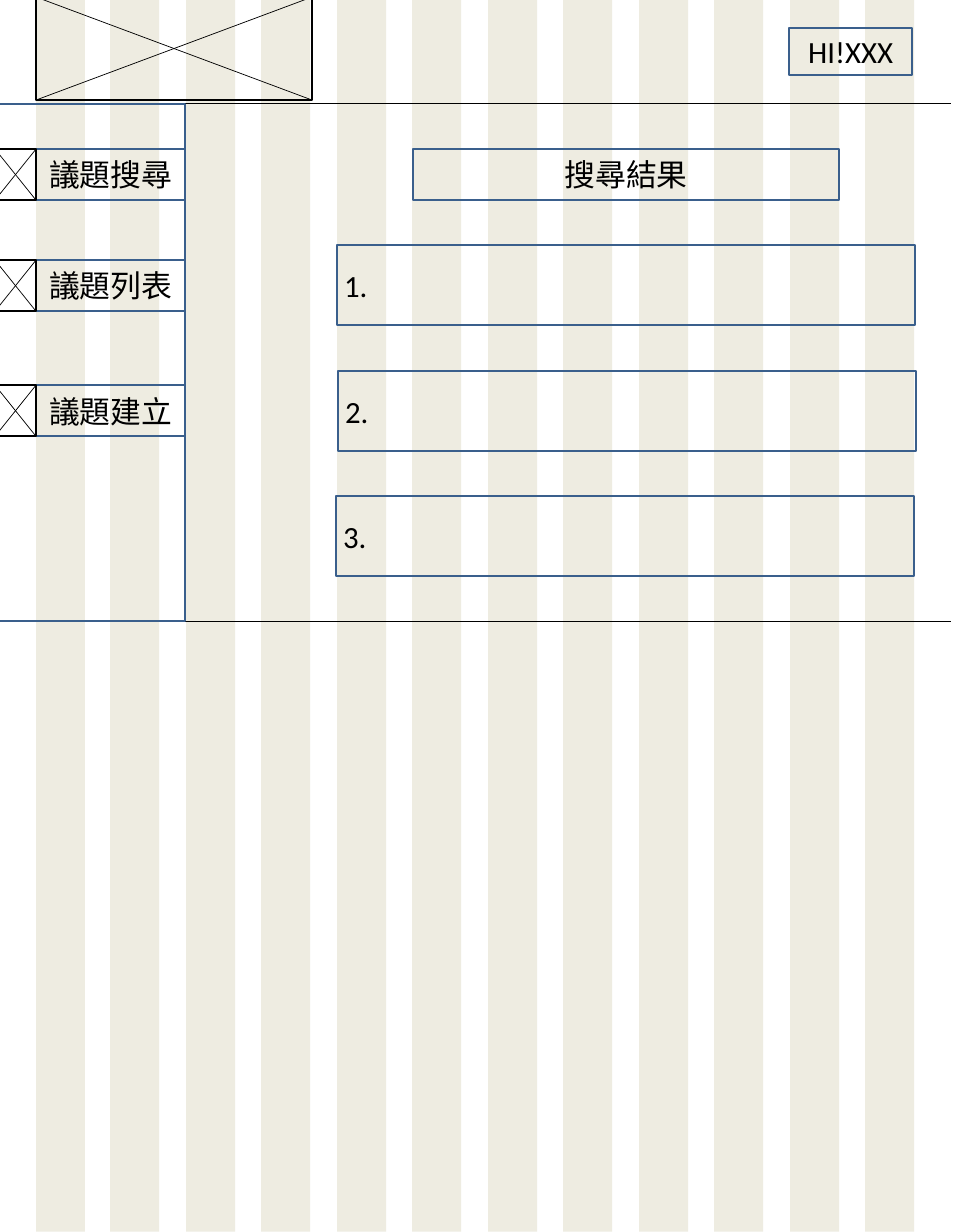
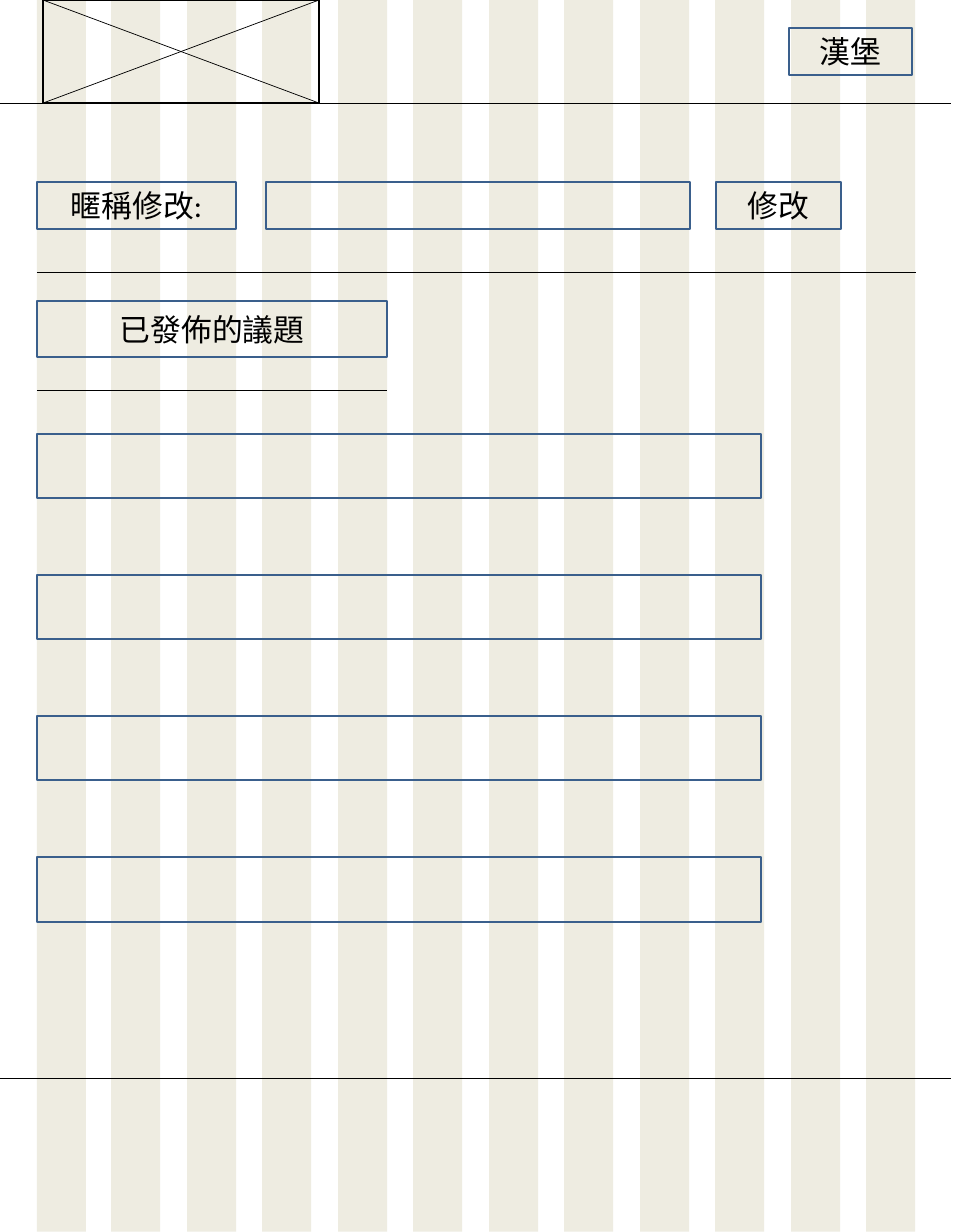
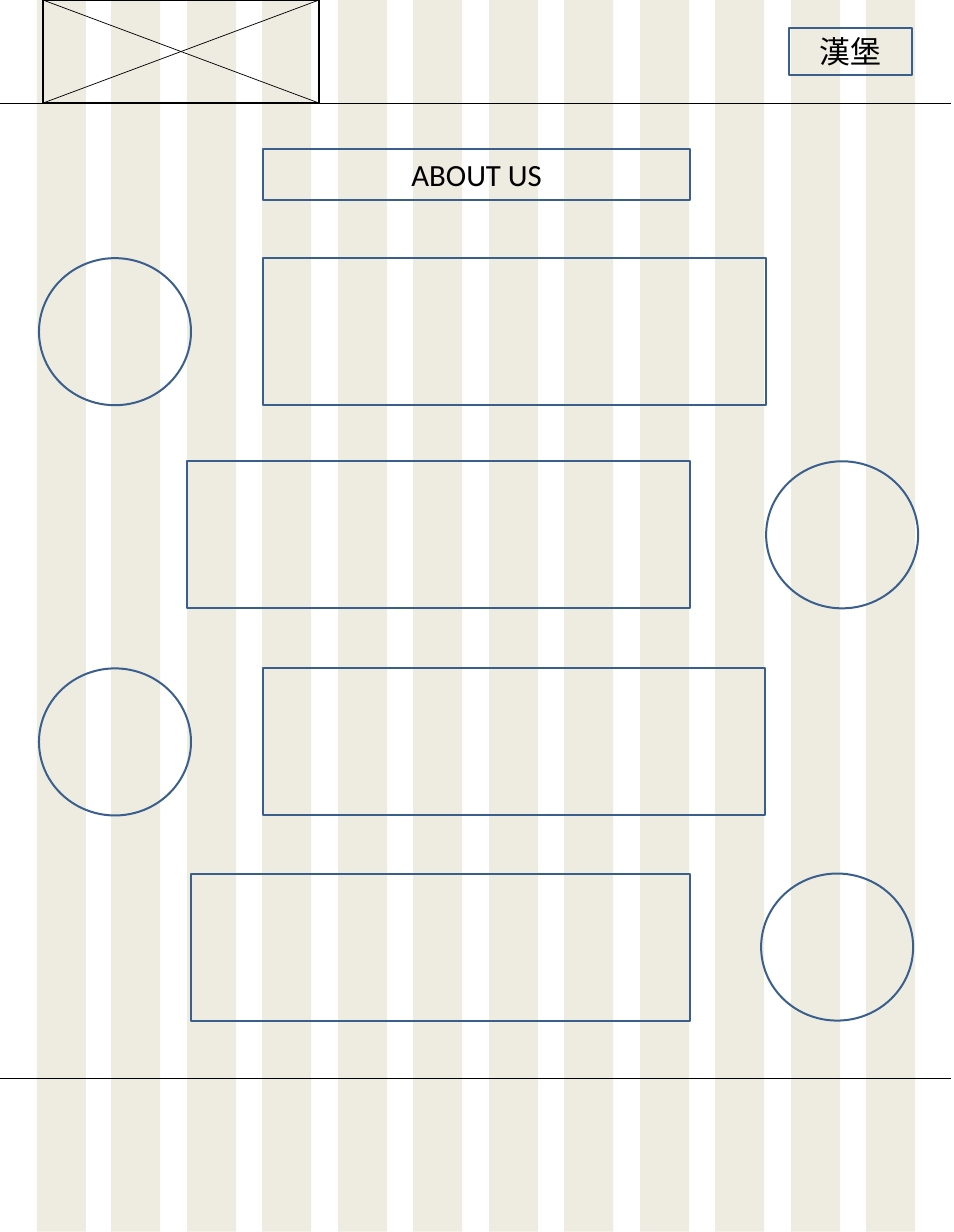
from dataclasses import dataclass
from typing import Any, Iterable, NamedTuple

from lxml.etree import SubElement
from pptx import Presentation
from pptx.dml.color import RGBColor as Rgb
from pptx.enum.shapes import MSO_CONNECTOR as Connector, MSO_SHAPE as Preset
from pptx.enum.text import MSO_ANCHOR as Anchor, PP_ALIGN as Align
from pptx.oxml.ns import qn
from pptx.slide import Slide
from pptx.util import Emu, Inches, Pt

EMU_PER_PIXEL = 914400 / 71.5
PAGE_SIZE = {"slide_width": Inches(13.34), "slide_height": Inches(17.22)}
COLUMN_COUNT, COLUMN_WIDTH, COLUMN_HEIGHT = 12, 49, 1231
RULE_LEFT, RULE_RIGHT = -3, 951
HEADER_BOTTOM = 103


@dataclass(frozen=True)
class Theme:
    column: Rgb = Rgb(0xEE, 0xEC, 0xE1)
    outline: Rgb = Rgb(0x3A, 0x5F, 0x8C)
    ink: Rgb = Rgb(0, 0, 0)
    font: str = "Calibri"
    text_size: Pt = Pt(31)
    outline_width: Pt = Pt(2)
    rule_width: Pt = Pt(0.75)


THEME = Theme()


class Area(NamedTuple):
    left: int
    top: int
    width: int
    height: int


class Rule(NamedTuple):
    x1: int
    y1: int
    x2: int
    y2: int


@dataclass(frozen=True)
class Panel:
    area: Area
    text: str = ""
    align: Align = Align.CENTER
    preset: Preset = Preset.RECTANGLE
    outline: Rgb = THEME.outline


@dataclass(frozen=True)
class Page:
    margin: int
    banner: Area
    badge: str
    footer_top: int
    panels: tuple[Panel, ...]
    rules: tuple[Rule, ...] = ()
    icons: tuple[Area, ...] = ()


def px(length: int) -> Emu:
    return Emu(round(length * EMU_PER_PIXEL))


def apply_format(target: Any, values: dict[str, Any]) -> None:
    for attribute, value in values.items():
        setattr(target, attribute, value)


def add_preset(slide: Slide, preset: Preset, area: Area) -> Any:
    shape = slide.shapes.add_shape(preset, *map(px, area))
    shape.shadow.inherit = False
    return shape


def draw_columns(slide: Slide, margin: int) -> None:
    second = margin + 74
    lefts = [margin] + [second + (151 * step + 1) // 2 for step in range(COLUMN_COUNT - 1)]
    for left in lefts:
        column = add_preset(slide, Preset.RECTANGLE, Area(left, 0, COLUMN_WIDTH, COLUMN_HEIGHT))
        column.fill.solid()
        column.fill.fore_color.rgb = THEME.column
        column.line.fill.background()


def draw_panel(slide: Slide, panel: Panel) -> None:
    shape = add_preset(slide, panel.preset, panel.area)
    shape.fill.background()
    shape.line.color.rgb = panel.outline
    shape.line.width = THEME.outline_width
    if panel.text:
        frame = shape.text_frame
        apply_format(frame, {"word_wrap": True, "vertical_anchor": Anchor.MIDDLE})
        paragraph = frame.paragraphs[0]
        paragraph.alignment = panel.align
        run = paragraph.add_run()
        run.text = panel.text
        apply_format(run.font, {"name": THEME.font, "size": THEME.text_size})
        run.font.color.rgb = THEME.ink


def draw_rules(slide: Slide, rules: Iterable[Rule]) -> None:
    for rule in rules:
        line = slide.shapes.add_connector(Connector.STRAIGHT, *map(px, rule))
        line.line.color.rgb = THEME.ink
        line.line.width = THEME.rule_width
        SubElement(line._element.spPr, qn("a:effectLst"))


def draw_crossed_box(slide: Slide, area: Area) -> None:
    left, top, width, height = area
    right, bottom = left + width, top + height
    draw_panel(slide, Panel(area, outline=THEME.ink))
    draw_rules(slide, (Rule(left, top, right, bottom), Rule(right, top, left, bottom)))


def draw_page(slide: Slide, page: Page) -> None:
    draw_columns(slide, page.margin)
    draw_crossed_box(slide, page.banner)
    edges = tuple(Rule(RULE_LEFT, y, RULE_RIGHT, y) for y in (HEADER_BOTTOM, page.footer_top))
    draw_rules(slide, edges + page.rules)
    for panel in (Panel(Area(789, 28, 123, 47), page.badge), *page.panels):
        draw_panel(slide, panel)
    for icon in page.icons:
        draw_crossed_box(slide, icon)


def search_page() -> Page:
    menu = (("議題搜尋", 149), ("議題列表", 260), ("議題建立", 385))
    results = tuple(
        Panel(Area(left, 245 + (251 * index + 1) // 2, 578, 80), f"{index + 1}.", Align.LEFT)
        for index, left in enumerate((337, 338, 336))
    )
    return Page(
        margin=36,
        banner=Area(36, -3, 276, 103),
        badge="HI!XXX",
        footer_top=621,
        panels=(
            Panel(Area(413, 149, 426, 51), "搜尋結果"),
            Panel(Area(-5, 104, 190, 517)),
            *(Panel(Area(36, top, 149, 51), label) for label, top in menu),
            *results,
        ),
        icons=tuple(Area(-5, top, 41, 51) for _, top in menu),
    )


def profile_page() -> Page:
    return Page(
        margin=37,
        banner=Area(43, 0, 276, 103),
        badge="漢堡",
        footer_top=1078,
        panels=(
            Panel(Area(37, 182, 199, 47), "暱稱修改:"),
            Panel(Area(266, 182, 424, 47)),
            Panel(Area(716, 182, 125, 47), "修改"),
            Panel(Area(37, 301, 350, 56), "已發佈的議題"),
            *(Panel(Area(37, 434 + 141 * index, 724, 64)) for index in range(4)),
        ),
        rules=(Rule(37, 272, 916, 272), Rule(37, 390, 387, 390)),
    )


def about_page() -> Page:
    members = (
        (258, 263, 503, 39),
        (461, 187, 503, 766),
        (668, 263, 502, 39),
        (873, 191, 499, 761),
    )
    biographies = (Panel(Area(left, top, width, 147)) for top, left, width, _ in members)
    portraits = (
        Panel(Area(left, top, 152, 147), preset=Preset.OVAL) for top, _, _, left in members
    )
    return Page(
        margin=37,
        banner=Area(43, 0, 276, 103),
        badge="漢堡",
        footer_top=1078,
        panels=(Panel(Area(263, 149, 427, 51), "ABOUT US"), *biographies, *portraits),
    )


def main() -> None:
    deck = Presentation()
    apply_format(deck, PAGE_SIZE)
    for page in (search_page(), profile_page(), about_page()):
        draw_page(deck.slides.add_slide(deck.slide_layouts[6]), page)
    deck.save("out.pptx")


main()
